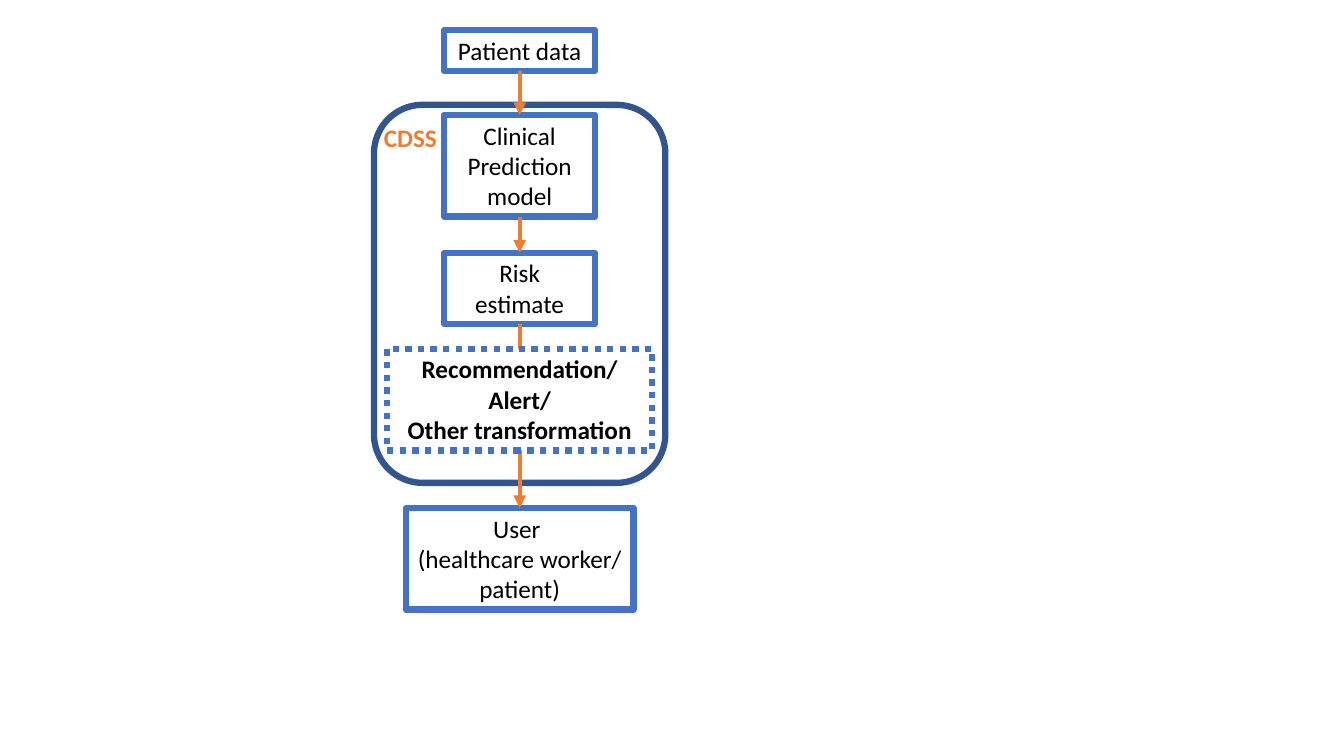
"""Draw the flow from patient data through a CDSS to its user."""
from lxml.etree import SubElement
from pptx import Presentation
from pptx.dml.color import RGBColor
from pptx.enum.dml import MSO_LINE_DASH_STYLE as Dash
from pptx.enum.shapes import MSO_CONNECTOR as Conn, MSO_SHAPE as Kind
from pptx.enum.text import MSO_ANCHOR as Anchor, PP_ALIGN as Align
from pptx.oxml.ns import qn
from pptx.util import Pt

BLUE, NAVY, ORANGE = "4472C4", "325491", "ED7D31"
BLACK, WHITE = "000000", "FFFFFF"
MID = 371.2
LINE, PAD = 21.8, 7.2

# name: (top, width, rows of text, paragraphs of lines)
BOXES = {
    "data": (21.6, 108, 1, [["Patient data"]]),
    "model": (82.1, 108, 3, [["Clinical Prediction model"]]),
    "risk": (180.6, 108, 2, [["Risk estimate"]]),
    "user": (362.9, 162.7, 3, [["User ", "(healthcare worker/ patient)"]]),
    "advice": (249.1, 189.4, 3, [["Recommendation/"], ["Alert/"], ["Other transformation"]]),
}
FRAME = (74.9, 208.1, 270)
LABEL = ("CDSS", 267.1, 83.5, 57.6)


def tint(part, code):
    part.rgb = RGBColor.from_string(code)


def write(shape, paras, color, bold, align):
    frame = shape.text_frame
    frame.word_wrap = True
    frame.vertical_anchor = Anchor.TOP
    for i, lines in enumerate(paras):
        para = frame.add_paragraph() if i else frame.paragraphs[0]
        para.alignment = align
        for j, line in enumerate(lines):
            if j:
                para.add_line_break()
            run = para.add_run()
            run.text = line
            font = run.font
            font.name, font.size, font.bold = "Calibri", Pt(18), bold
            tint(font.color, color)


def outline(kind, top, width, height, color):
    shape = shapes.add_shape(kind, Pt(MID - width / 2), Pt(top), Pt(width), Pt(height))
    shape.shadow.inherit = False
    tint(shape.line.color, color)
    shape.line.width = Pt(4.5)
    return shape


def add_box(name, bold=False):
    top, width, rows, paras = BOXES[name]
    box = outline(Kind.RECTANGLE, top, width, PAD + rows * LINE, BLUE)
    box.fill.solid()
    tint(box.fill.fore_color, WHITE)
    write(box, paras, BLACK, bold, Align.CENTER)
    return box


def add_arrow(start, end):
    top, _, rows, _ = BOXES[start]
    arrow = shapes.add_connector(
        Conn.STRAIGHT, Pt(MID), Pt(top + PAD + rows * LINE), Pt(MID), Pt(BOXES[end][0]))
    tint(arrow.line.color, ORANGE)
    arrow.line.width = Pt(3)
    SubElement(arrow.line._get_or_add_ln(), qn("a:tailEnd"), type="triangle")
    SubElement(arrow._element.spPr, qn("a:effectLst"))


deck = Presentation()
deck.slide_width, deck.slide_height = Pt(960), Pt(540)
shapes = deck.slides.add_slide(deck.slide_layouts[6]).shapes

for name in ("data", "model", "risk", "user"):
    add_box(name)
add_arrow("model", "risk")
outline(Kind.ROUNDED_RECTANGLE, *FRAME, NAVY).fill.background()
add_arrow("data", "model")
add_arrow("risk", "user")
add_box("advice", bold=True).line.dash_style = Dash.ROUND_DOT

text, left, top, width = LABEL
label = shapes.add_textbox(Pt(left), Pt(top), Pt(width), Pt(PAD + LINE))
write(label, [[text]], ORANGE, True, Align.LEFT)

deck.save("out.pptx")
